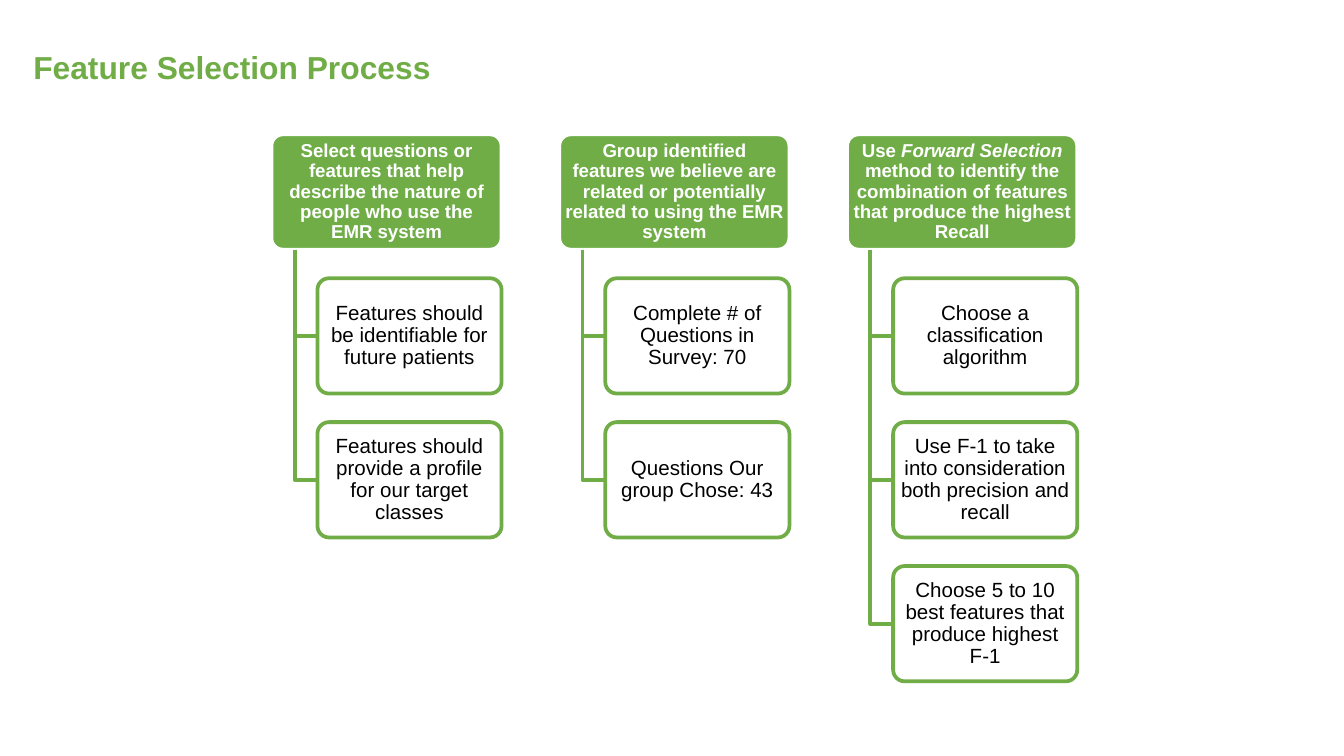
from dataclasses import dataclass

from lxml.etree import SubElement
from pptx import Presentation
from pptx.dml.color import RGBColor as RGB
from pptx.enum.shapes import MSO_SHAPE as Preset
from pptx.enum.text import MSO_ANCHOR as Anchor, PP_ALIGN as Align
from pptx.oxml.ns import qn
from pptx.util import Cm, Pt


@dataclass(frozen=True)
class Theme:
    font: str = "Arial"
    green: RGB = RGB(0x70, 0xAD, 0x47)
    white: RGB = RGB(0xFF, 0xFF, 0xFF)
    black: RGB = RGB(0, 0, 0)
    title_size: Pt = Pt(17)
    step_size: Pt = Pt(10)
    detail_size: Pt = Pt(11)
    outline: Pt = Pt(2)


theme = Theme()

STEPS = [
    (
        ["Select questions or features that help describe the nature of people who use the EMR system"],
        ["Features should be identifiable for future patients",
         "Features should provide a profile for our target classes"],
    ),
    (
        ["Group identified features we believe are related or potentially related to using the EMR system"],
        ["Complete # of Questions in Survey: 70", "Questions Our group Chose: 43"],
    ),
    (
        ["Use ", "Forward Selection",
         " method to identify the combination of features that produce the highest Recall"],
        ["Choose a classification algorithm",
         "Use F-1 to take into consideration both precision and recall",
         "Choose 5 to 10 best features that produce highest F-1"],
    ),
]

FIRST_LEFT, TOP = Cm(5.13), Cm(2.54)
COLUMN_PITCH, ROW_PITCH = Cm(5.44), Cm(2.72)
STEP_WIDTH, BOX_HEIGHT = Cm(4.35), Cm(2.18)
RAIL_INDENT, DETAIL_INDENT = Cm(0.44), Cm(0.87)


def style_runs(paragraph, size, color, bold=False):
    for run in paragraph.runs:
        run.font.name = theme.font
        run.font.size = size
        run.font.bold = bold
        run.font.color.rgb = color


def add_box(left, top, width, fill, outline, segments, size, color, bold=False):
    box = slide.shapes.add_shape(Preset.ROUNDED_RECTANGLE, left, top, width, BOX_HEIGHT)
    box.adjustments[0] = 0.1
    box.shadow.inherit = False
    box.fill.solid()
    box.fill.fore_color.rgb = fill
    box.line.color.rgb = outline
    box.line.width = theme.outline
    frame = box.text_frame
    frame.word_wrap = True
    frame.vertical_anchor = Anchor.MIDDLE
    frame.margin_left = frame.margin_right = Cm(0.05)
    frame.margin_top = frame.margin_bottom = Cm(0.04)
    paragraph = frame.paragraphs[0]
    paragraph.alignment = Align.CENTER
    paragraph.line_spacing = 0.9
    for index, segment in enumerate(segments):
        run = paragraph.add_run()
        run.text = segment
        run.font.italic = index % 2 == 1
    style_runs(paragraph, size, color, bold)
    return box


deck = Presentation()
deck.slide_width, deck.slide_height = Cm(25.4), Cm(14.29)
slide = deck.slides.add_slide(deck.slide_layouts[6])

title = slide.shapes.add_textbox(Cm(0.38), Cm(0.66), Cm(19.69), Cm(1.19)).text_frame
title.word_wrap = True
title.margin_left = title.margin_right = title.margin_top = title.margin_bottom = Cm(0.25)
title.text = "Feature Selection Process"
title.paragraphs[0].space_after = Pt(8)
style_runs(title.paragraphs[0], theme.title_size, theme.green, bold=True)

for column, (step, details) in enumerate(STEPS):
    left = FIRST_LEFT + column * COLUMN_PITCH
    rail_left = left + RAIL_INDENT
    detail_left = left + DETAIL_INDENT
    add_box(left, TOP, STEP_WIDTH, theme.green, theme.white,
            step, theme.step_size, theme.white, bold=True)

    for row, detail in enumerate(details, start=1):
        detail_top = TOP + row * ROW_PITCH
        middle = detail_top + BOX_HEIGHT // 2
        outline = slide.shapes.build_freeform(rail_left, TOP + BOX_HEIGHT)
        outline.add_line_segments([(rail_left, middle), (detail_left, middle)], close=False)
        branch = outline.convert_to_shape()
        branch.shadow.inherit = False
        branch.fill.background()
        branch.line.color.rgb = theme.green
        branch.line.width = theme.outline

        detail_box = add_box(detail_left, detail_top, STEP_WIDTH - DETAIL_INDENT, theme.white,
                             theme.green, [detail], theme.detail_size, theme.black)
        fill_color = detail_box.fill._xPr.find(qn("a:solidFill"))[0]
        SubElement(fill_color, qn("a:alpha"), val="90000")

deck.save("out.pptx")
